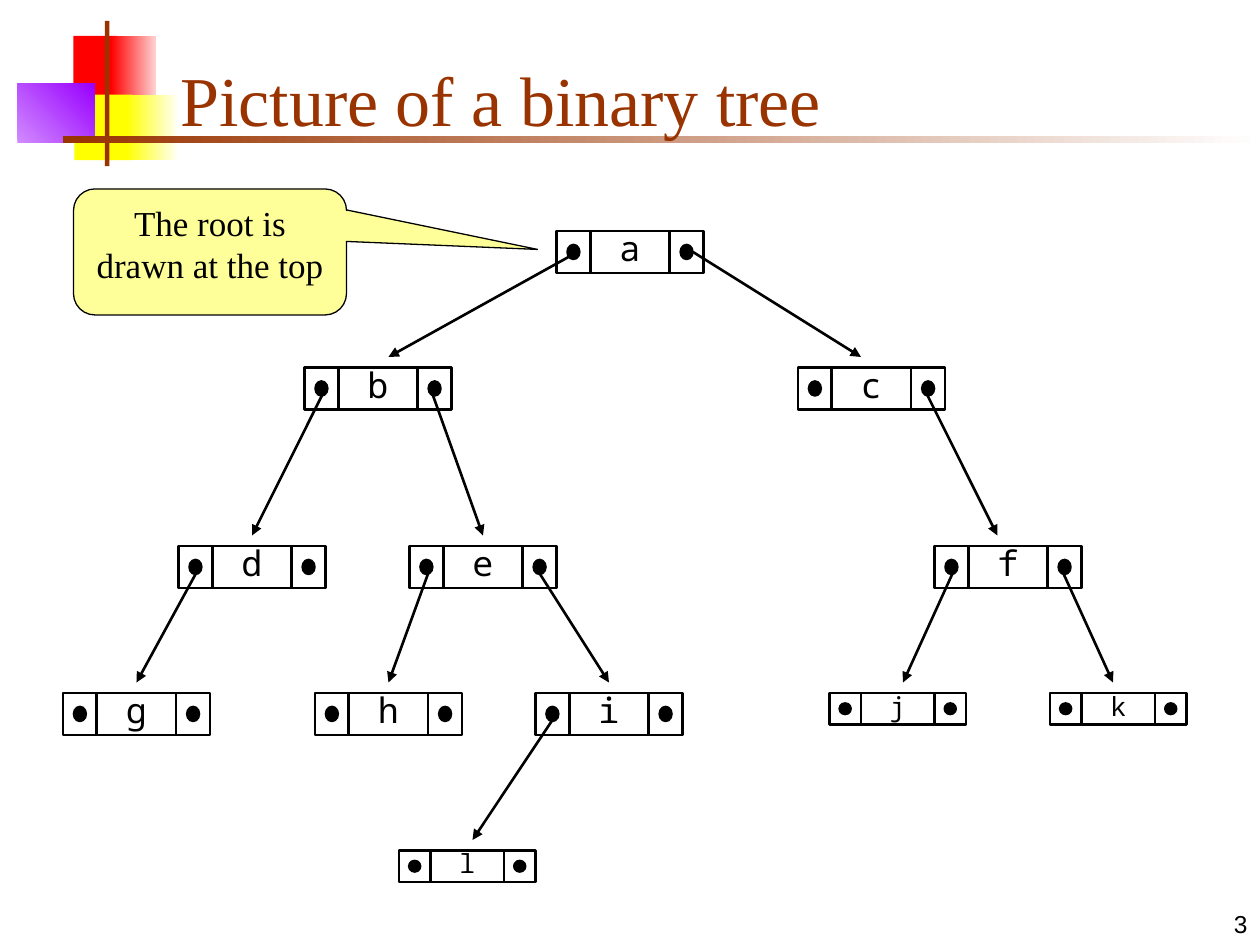
"""Build a slide that shows a binary tree of linked nodes."""
import lxml.etree
import pptx
import pptx.dml.color
import pptx.enum.shapes
import pptx.enum.text
import pptx.oxml
import pptx.oxml.ns
import pptx.util

Pt = pptx.util.Pt
SHAPE = pptx.enum.shapes.MSO_SHAPE
ALIGN = pptx.enum.text.PP_ALIGN
ANCHOR = pptx.enum.text.MSO_ANCHOR
COLORS = {
    "ink": "000000", "brown": "993300", "white": "FFFFFF",
    "red": "FF0000", "pink": "FFD1D1", "yellow": "FFFF00", "cream": "FFFFF0",
    "lilac": "D18BFF", "purple": "9900FF", "note": "FFFF99",
}
RGB = {name: pptx.dml.color.RGBColor.from_string(value) for name, value in COLORS.items()}

deck = pptx.Presentation()
deck.slide_width, deck.slide_height = Pt(720), Pt(540)
page = deck.slides.add_slide(deck.slide_layouts[6])


def draw(kind, left, top, width, height, fill=None, line=0):
    shape = page.shapes.add_shape(kind, Pt(left), Pt(top), Pt(width), Pt(height))
    shape.shadow.inherit = False
    if fill:
        shape.fill.solid()
        shape.fill.fore_color.rgb = RGB[fill]
    else:
        shape.fill.background()
    if line:
        shape.line.color.rgb = RGB["ink"]
        shape.line.width = Pt(line)
    else:
        shape.line.fill.background()
    return shape


def write(box, words, font, size, color="ink", align=ALIGN.CENTER, anchor=ANCHOR.MIDDLE, **layout):
    frame = box.text_frame
    for name, value in {"word_wrap": True, "vertical_anchor": anchor, **layout}.items():
        setattr(frame, name, value)
    para = frame.paragraphs[0]
    para.alignment = align
    span = para.add_run()
    span.text = words
    for name, value in {"name": font, "size": Pt(size)}.items():
        setattr(span.font, name, value)
    span.font.color.rgb = RGB[color]


ornaments = [
    (42, 20.5, 25, 37.5, ["red"], 0),
    (63.5, 20.5, 25.5, 37.5, ["red", "pink"], 0),
    (42.5, 54, 33, 37.5, ["yellow"], 0),
    (72, 54, 29, 37.5, ["yellow", "cream"], 0),
    (10, 48, 44, 33.5, ["lilac", "purple"], 45),
    (60, 12, 2.5, 83, ["brown"], 0),
    (36, 78, 684, 3.75, ["brown", "white"], 0),
]
for left, top, width, height, shades, angle in ornaments:
    ornament = draw(SHAPE.RECTANGLE, left, top, width, height, shades[0])
    if len(shades) == 2:
        ornament.fill.gradient()
        ornament.fill.gradient_angle = angle
        for stop, shade, position in zip(ornament.fill.gradient_stops, shades, (0, 1)):
            stop.color.rgb = RGB[shade]
            stop.position = position

number = page.shapes.add_textbox(Pt(570), Pt(504), Pt(150), Pt(36))
write(number, "3", "Arial", 14, align=ALIGN.RIGHT, anchor=ANCHOR.BOTTOM)
title = page.shapes.add_textbox(Pt(96), Pt(18), Pt(613.5), Pt(66))
write(title, "Picture of a binary tree", "Times New Roman", 40, "brown", ALIGN.LEFT, ANCHOR.BOTTOM)

nodes = {
    "a": (318, 132), "b": (174, 210), "c": (456, 210), "d": (102, 312),
    "e": (234, 312), "g": (36, 396), "h": (180, 396), "i": (306, 396),
    "l": (228, 486), "f": (534, 312), "j": (474, 396), "k": (600, 396),
}
for letter, (left, top) in nodes.items():
    width, height = (78, 18) if letter in "jkl" else (84, 24)
    cell = width * 0.23
    dot_width, dot_height = width * 0.08, height / 3
    for cell_left in (left, left + width - cell):
        draw(SHAPE.RECTANGLE, cell_left, top, cell, height, line=1.5)
        draw(SHAPE.OVAL, cell_left + (cell - dot_width) / 2, top + (height - dot_height) / 2,
             dot_width, dot_height, "ink", 1.5)
    label = draw(SHAPE.FLOWCHART_PROCESS, left + cell, top, width - 2 * cell, height, line=1.5)
    write(label, letter, "Noto Sans Mono", height * 5 / 6, word_wrap=False,
          margin_top=0, margin_bottom=Pt(height * 0.2))

links = [
    ("a", "b", 12, 222), ("a", "c", 78, 492), ("b", "d", 12, 144), ("b", "e", 72, 276),
    ("d", "g", 12, 78), ("e", "h", 12, 222), ("e", "i", 72, 348), ("i", "l", 12, 270),
    ("c", "f", 72, 570), ("f", "j", 12, 516), ("f", "k", 72, 636),
]
for parent, child, offset, tip in links:
    left, top = nodes[parent]
    arrow = page.shapes.add_connector(
        pptx.enum.shapes.MSO_CONNECTOR.STRAIGHT,
        Pt(left + offset), Pt(top + 12), Pt(tip), Pt(nodes[child][1] - 6))
    arrow.line.color.rgb = RGB["ink"]
    arrow.line.width = Pt(1.5)
    head = lxml.etree.SubElement(arrow.line._get_or_add_ln(), pptx.oxml.ns.qn("a:tailEnd"))
    head.set("type", "triangle")
    lxml.etree.SubElement(arrow._element.spPr, pptx.oxml.ns.qn("a:effectLst"))

callout = draw(SHAPE.ROUNDED_RECTANGULAR_CALLOUT, 42, 108, 156, 72, "note", 0.75)
for index, value in enumerate((1.2, -0.02, 0.17)):
    callout.adjustments[index] = value
write(callout, "The root is drawn at the top", "Times New Roman", 20, anchor=ANCHOR.TOP)

deck.save("out.pptx")
